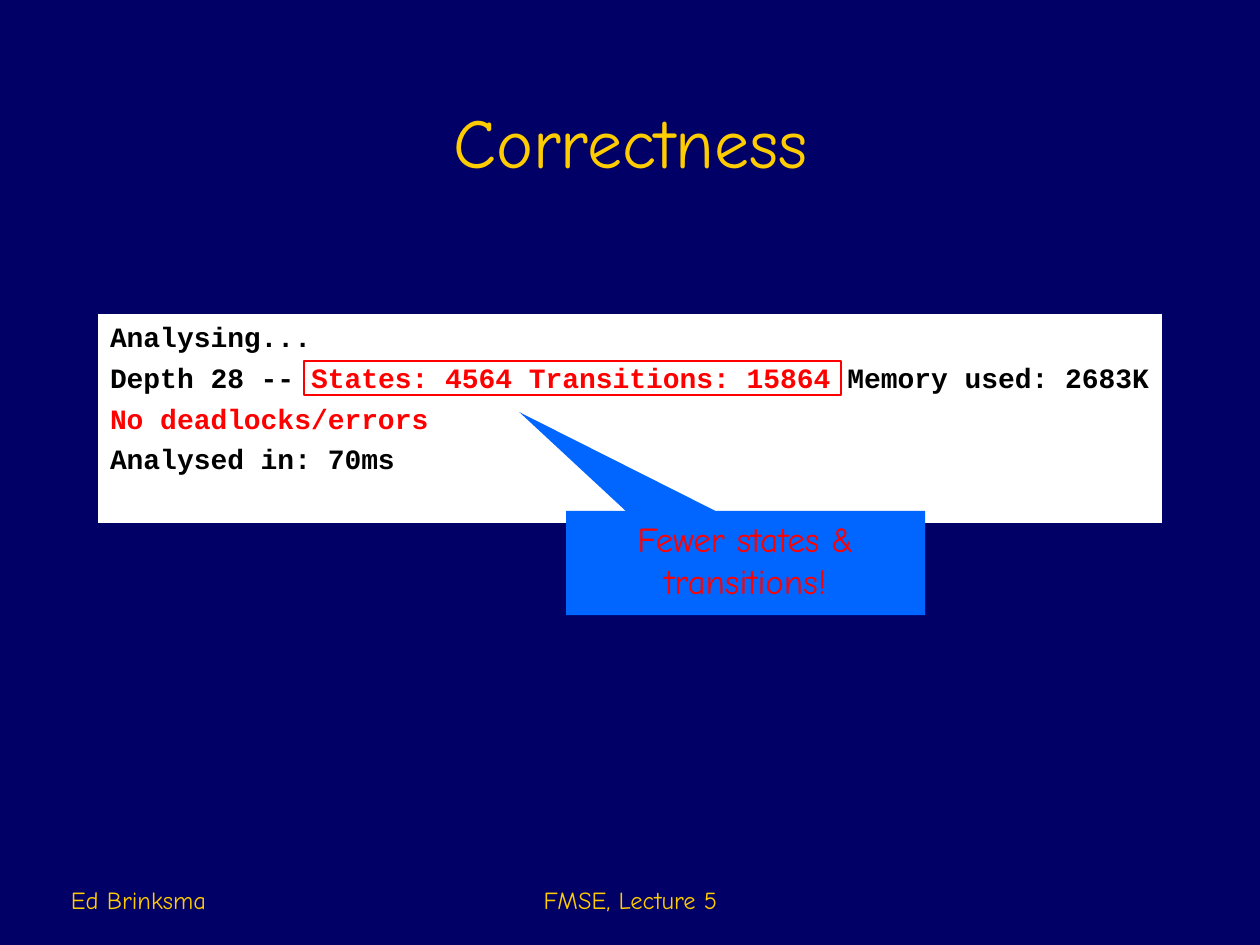
from typing import NamedTuple

from pptx import Presentation
from pptx.dml.color import RGBColor
from pptx.enum.shapes import MSO_SHAPE
from pptx.enum.text import MSO_ANCHOR, PP_ALIGN
from pptx.util import Emu, Pt

RECTANGLE, CALLOUT = MSO_SHAPE.RECTANGLE, MSO_SHAPE.RECTANGULAR_CALLOUT
TOP, BOTTOM = MSO_ANCHOR.TOP, MSO_ANCHOR.BOTTOM
LEFT, CENTER = PP_ALIGN.LEFT, PP_ALIGN.CENTER

PX_PER_INCH = 126
COLORS = {
    "navy": "000066",
    "gold": "FFCC00",
    "white": "FFFFFF",
    "black": "000000",
    "red": "FF0000",
    "blue": "0066FF",
}
HAND, MONO = "Comic Neue", "Courier New"


class Box(NamedTuple):
    left: int
    top: int
    width: int
    height: int


class Run(NamedTuple):
    text: str
    color: str


class Style(NamedTuple):
    font: str
    size: int
    bold: bool = False
    align: PP_ALIGN = LEFT
    anchor: MSO_ANCHOR = TOP
    space_before: int = 0
    wrap: bool = True


class Footer(NamedTuple):
    box: Box
    text: str
    align: PP_ALIGN


TITLE_STYLE = Style(HAND, 40, align=CENTER, anchor=BOTTOM)
LOG_STYLE = Style(MONO, 16, bold=True, space_before=4, wrap=False)
CALLOUT_STYLE = Style(HAND, 20, align=CENTER)

LOG_LINES = [
    [Run("Analysing...", "black")],
    [
        Run("Depth 28 -- ", "black"),
        Run("States: 4564 Transitions: 15864", "red"),
        Run(" Memory used: 2683K", "black"),
    ],
    [Run("No deadlocks/errors", "red")],
    [Run("Analysed in: 70ms", "black")],
]
FOOTERS = [
    Footer(Box(431, 857, 399, 63), "FMSE, Lecture 5", CENTER),
    Footer(Box(59, 857, 262, 63), "Ed Brinksma", LEFT),
]


def px(length: int) -> Emu:
    return Emu(round(length * 914400 / PX_PER_INCH))


def rgb(name: str) -> RGBColor:
    return RGBColor.from_string(COLORS[name])


def write(shape, lines: list[list[Run]], style: Style) -> None:
    frame = shape.text_frame
    frame.word_wrap = style.wrap
    frame.vertical_anchor = style.anchor
    frame.margin_left = frame.margin_right = px(12)
    frame.margin_top = frame.margin_bottom = px(6)
    for index, line in enumerate(lines):
        paragraph = frame.add_paragraph() if index else frame.paragraphs[0]
        paragraph.alignment = style.align
        paragraph.space_before = Pt(style.space_before if index else 0)
        for part in line:
            run = paragraph.add_run()
            run.text = part.text
            run.font.name = style.font
            run.font.size = Pt(style.size)
            run.font.bold = style.bold
            run.font.color.rgb = rgb(part.color)


def add_block(slide, kind: MSO_SHAPE, box: Box, fill: str = "", line: str = ""):
    shape = slide.shapes.add_shape(kind, *map(px, box))
    shape.shadow.inherit = False
    if fill:
        shape.fill.solid()
        shape.fill.fore_color.rgb = rgb(fill)
    else:
        shape.fill.background()
    if line:
        shape.line.color.rgb = rgb(line)
        shape.line.width = Pt(0.75)
    else:
        shape.line.fill.background()
    return shape


def main() -> None:
    deck = Presentation()
    deck.slide_width, deck.slide_height = px(1260), px(945)
    slide = deck.slides.add_slide(deck.slide_layouts[5])
    slide.background.fill.solid()
    slide.background.fill.fore_color.rgb = rgb("navy")

    # Title
    title = slide.shapes.title
    title.left, title.top, title.width, title.height = map(px, Box(95, 32, 1071, 157))
    write(title, [[Run("Correctness", "gold")]], TITLE_STYLE)

    # Analyser output, with the state count framed
    log = add_block(slide, RECTANGLE, Box(98, 314, 1064, 209), fill="white")
    write(log, LOG_LINES, LOG_STYLE)
    add_block(slide, RECTANGLE, Box(304, 361, 537, 34), line="red")

    # Callout pointing at the state count
    callout = add_block(slide, CALLOUT, Box(566, 511, 359, 104), fill="blue")
    callout.adjustments[0], callout.adjustments[1] = -0.63, -1.45
    write(callout, [[Run("Fewer states & transitions!", "red")]], CALLOUT_STYLE)

    # Footers
    for footer in FOOTERS:
        label = slide.shapes.add_textbox(*map(px, footer.box))
        style = Style(HAND, 14, align=footer.align, anchor=BOTTOM)
        write(label, [[Run(footer.text, "gold")]], style)

    deck.save("out.pptx")


if __name__ == "__main__":
    main()
